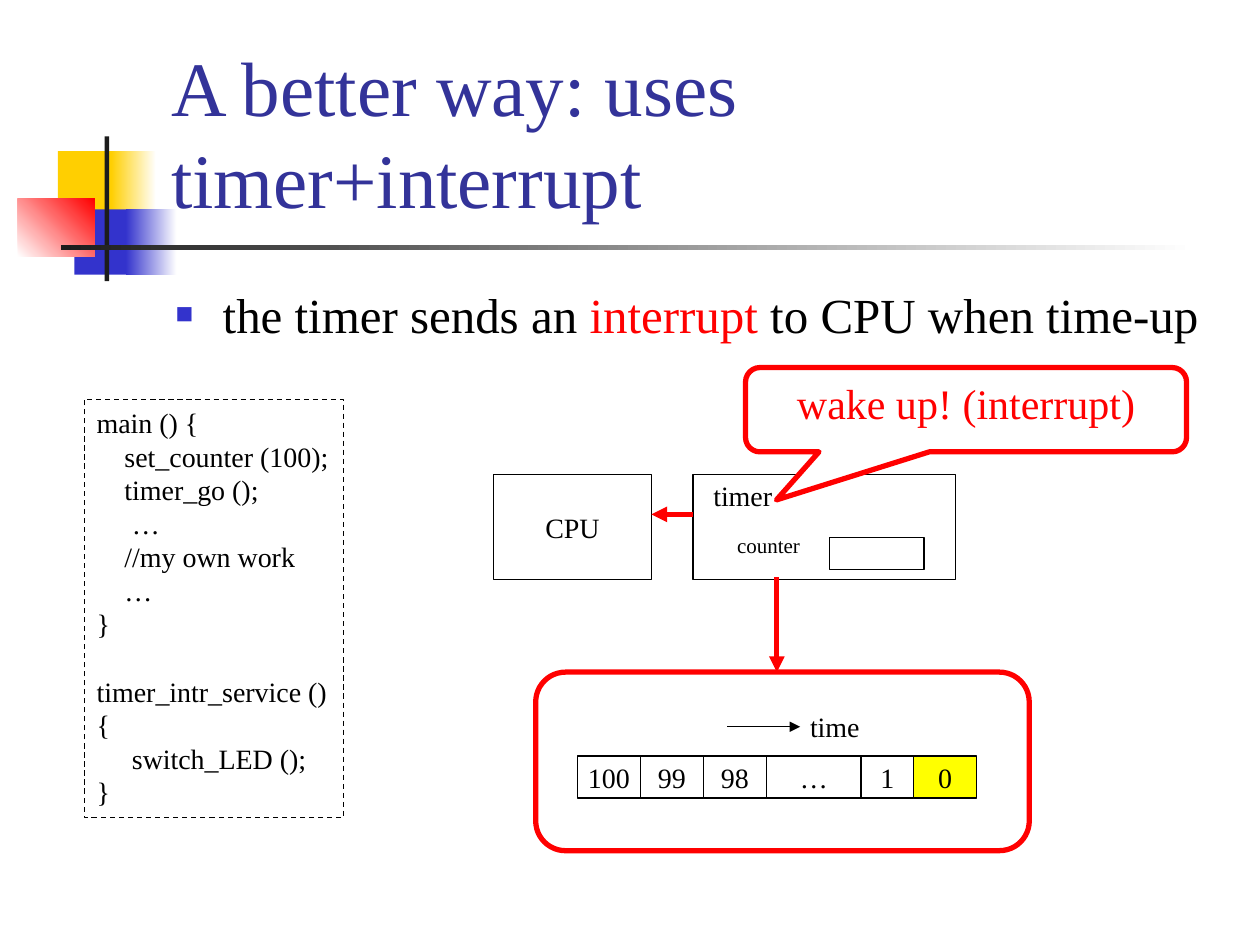
"""Build the slide on using a timer with an interrupt."""
from itertools import accumulate

from lxml import etree
from pptx import Presentation
from pptx import util as u
from pptx.dml.color import RGBColor
from pptx.enum import dml, shapes, text
from pptx.oxml.ns import qn

FONT = "Times New Roman"
BLACK, RED, WHITE, BLUE = "000000", "FF0000", "FFFFFF", "3333CC"
GOLD, DARK, YELLOW, NAVY = "FFCF01", "1C1C1C", "FFFF00", "333399"
RECT = shapes.MSO_SHAPE.RECTANGLE
ROUND = shapes.MSO_SHAPE.ROUNDED_RECTANGLE
CALLOUT = shapes.MSO_SHAPE.ROUNDED_RECTANGULAR_CALLOUT
CENTER = text.PP_ALIGN.CENTER
MIDDLE = text.MSO_ANCHOR.MIDDLE

DECOR = [
    ((1.17, 3.05, 1.22, 1.32), [GOLD], 0),
    ((2.24, 3.05, 0.91, 1.32), [GOLD, WHITE], 0),
    ((1.5, 4.22, 1.17, 1.32), [BLUE], 0),
    ((2.54, 4.22, 1.02, 1.32), [BLUE, WHITE], 0),
    ((0.36, 4.01, 1.55, 1.17), [WHITE, RED], 45),
    ((2.11, 2.75, 0.09, 2.92), [DARK], 0),
    ((1.23, 4.94, 22.86, 0.1), [DARK, WHITE], 0),
]
TITLE = "A better way: uses timer+interrupt"
BODY = [("the timer sends an ", BLACK), ("interrupt", RED),
        (" to CPU when time-up", BLACK)]
CODE = [
    ("main () {", 0, 0), ("set_counter (100);", 0.56, 0),
    ("timer_go ();", 0.56, 0), ("…", 0.71, 0), ("//my own work", 0.56, 0),
    ("…", 0.56, 0), ("}", 0, 0), ("timer_intr_service ()", 0, 19.2),
    ("{", 0, 0), ("switch_LED ();", 0.71, 0), ("}", 0, 0),
]
LABELS = [("timer", (14.13, 9.53, 1.9, 0.94), 16),
          ("counter", (14.61, 10.62, 2, 0.76), 12),
          ("time", (16.08, 14.17, 1.7, 0.94), 16)]
COUNTS = [("100", 1.27), ("99", 1.27), ("98", 1.27), ("…", 1.91),
          ("1", 1.06), ("0", 1.27)]
COUNT_LEFT, COUNT_TOP, COUNT_H = 11.64, 15.24, 0.85


def rgb(value):
    """Return the colour of a hex string."""
    return RGBColor.from_string(value)


def style(p, size, color=BLACK, align=None):
    """Format a paragraph and its runs."""
    p.alignment = align
    for r in p.runs:
        r.font.name, r.font.size = FONT, u.Pt(size)
        r.font.color.rgb = rgb(color)


def add_box(s, kind, at, line=BLACK, width=0.75, fill=None):
    """Add an outlined shape."""
    sp = s.shapes.add_shape(kind, *map(u.Cm, at))
    sp.shadow.inherit = False
    if fill:
        sp.fill.solid()
        sp.fill.fore_color.rgb = rgb(fill)
    else:
        sp.fill.background()
    if line:
        sp.line.color.rgb = rgb(line)
        sp.line.width = u.Pt(width)
    else:
        sp.line.fill.background()
    return sp


def add_decor(s, at, colors, angle):
    """Add a plain or gradient block of the background."""
    sp = add_box(s, RECT, at, line=None, fill=colors[0])
    if len(colors) > 1:
        sp.fill.gradient()
        sp.fill.gradient_angle = angle
        for stop, color, pos in zip(sp.fill.gradient_stops, colors, (0, 1)):
            stop.color.rgb = rgb(color)
            stop.position = pos


def write(sp, words, size, color=BLACK, align=None, anchor=text.MSO_ANCHOR.TOP,
          side=None):
    """Put one paragraph into a shape."""
    tf = sp.text_frame
    tf.word_wrap = True
    tf.vertical_anchor = anchor
    if side is not None:
        tf.margin_left = tf.margin_right = u.Cm(side)
    tf.text = words
    style(tf.paragraphs[0], size, color, align)
    return tf


def add_text(s, at, words, size, **look):
    """Add a text box."""
    return write(s.shapes.add_textbox(*map(u.Cm, at)), words, size, **look)


def add_arrow(s, x1, y1, x2, y2, color=RED, width=3):
    """Add a straight arrow."""
    c = s.shapes.add_connector(shapes.MSO_CONNECTOR.STRAIGHT,
                               *map(u.Cm, (x1, y1, x2, y2)))
    c.line.color.rgb = rgb(color)
    c.line.width = u.Pt(width)
    ln = c.line._get_or_add_ln()
    etree.SubElement(ln, qn("a:tailEnd"), type="triangle")
    etree.SubElement(c._element.spPr, qn("a:effectLst"))


def add_body(s):
    """Add the bulleted sentence."""
    tf = add_text(s, (3.29, 5.61, 21.59, 1.8), "", 28)
    p = tf.paragraphs[0]
    for words, color in BODY:
        r = p.add_run()
        r.text = words
        r.font.name, r.font.size = FONT, u.Pt(28)
        r.font.color.rgb = rgb(color)
    p.space_before = u.Pt(5.6)
    pPr = p._p.get_or_add_pPr()
    pPr.set("marL", str(u.Cm(0.95)))
    pPr.set("indent", str(-u.Cm(0.95)))
    clr = etree.SubElement(pPr, qn("a:buClr"))
    etree.SubElement(clr, qn("a:srgbClr"), val=BLUE)
    etree.SubElement(pPr, qn("a:buSzPct"), val="60000")
    etree.SubElement(pPr, qn("a:buFont"), typeface=FONT)
    etree.SubElement(pPr, qn("a:buChar"), char="■")


def add_code(s):
    """Add the dashed program listing."""
    sp = add_box(s, RECT, (1.7, 8.05, 5.23, 8.43))
    sp.line.dash_style = dml.MSO_LINE.DASH
    tf = sp.text_frame
    tf.word_wrap = True
    tf.margin_right = 0
    tf.vertical_anchor = text.MSO_ANCHOR.TOP
    tf.text = "\n".join(words for words, _, _ in CODE)
    for p, (_, indent, before) in zip(tf.paragraphs, CODE):
        style(p, 16, align=text.PP_ALIGN.LEFT)
        p.space_before = u.Pt(before)
        p._p.get_or_add_pPr().set("marL", str(u.Cm(indent)))


def main():
    """Build and save the slide."""
    prs = Presentation()
    prs.slide_width, prs.slide_height = u.Cm(25.4), u.Cm(19.05)
    s = prs.slides.add_slide(prs.slide_layouts[6])
    for item in DECOR:
        add_decor(s, *item)
    tf = add_text(s, (3.2, 0.58, 21.64, 4.06), TITLE, 44, color=NAVY,
                  anchor=text.MSO_ANCHOR.BOTTOM)
    tf.margin_right = u.Cm(1)
    add_body(s)

    cpu = add_box(s, RECT, (9.95, 9.57, 3.18, 2.11))
    write(cpu, "CPU", 16, align=CENTER, anchor=MIDDLE)
    add_box(s, RECT, (13.97, 9.57, 5.29, 2.11))
    add_box(s, RECT, (16.72, 10.84, 1.91, 0.64))
    for words, at, size in LABELS:
        add_text(s, at, words, size)
    add_code(s)

    add_arrow(s, 14.66, 14.65, 16.13, 14.65, BLACK, 0.75)
    lefts = accumulate((w for _, w in COUNTS), initial=COUNT_LEFT)
    for (words, w), left in zip(COUNTS, lefts):
        cell = add_box(s, RECT, (left, COUNT_TOP, w, COUNT_H),
                       fill=YELLOW if words == "0" else None)
        write(cell, words, 16, align=CENTER, anchor=MIDDLE, side=0)

    add_arrow(s, 13.97, 10.37, 13.13, 10.37)
    call = add_box(s, CALLOUT, (15.03, 7.41, 8.89, 1.7), RED, 3, WHITE)
    for i, value in enumerate((-0.43, 1.07, 0.17)):
        call.adjustments[i] = value
    write(call, "wake up! (interrupt)", 24, RED, CENTER)
    add_box(s, ROUND, (10.8, 13.55, 9.95, 3.6), RED, 3)
    add_arrow(s, 15.66, 11.64, 15.66, 13.55)
    prs.save("out.pptx")


if __name__ == "__main__":
    main()
